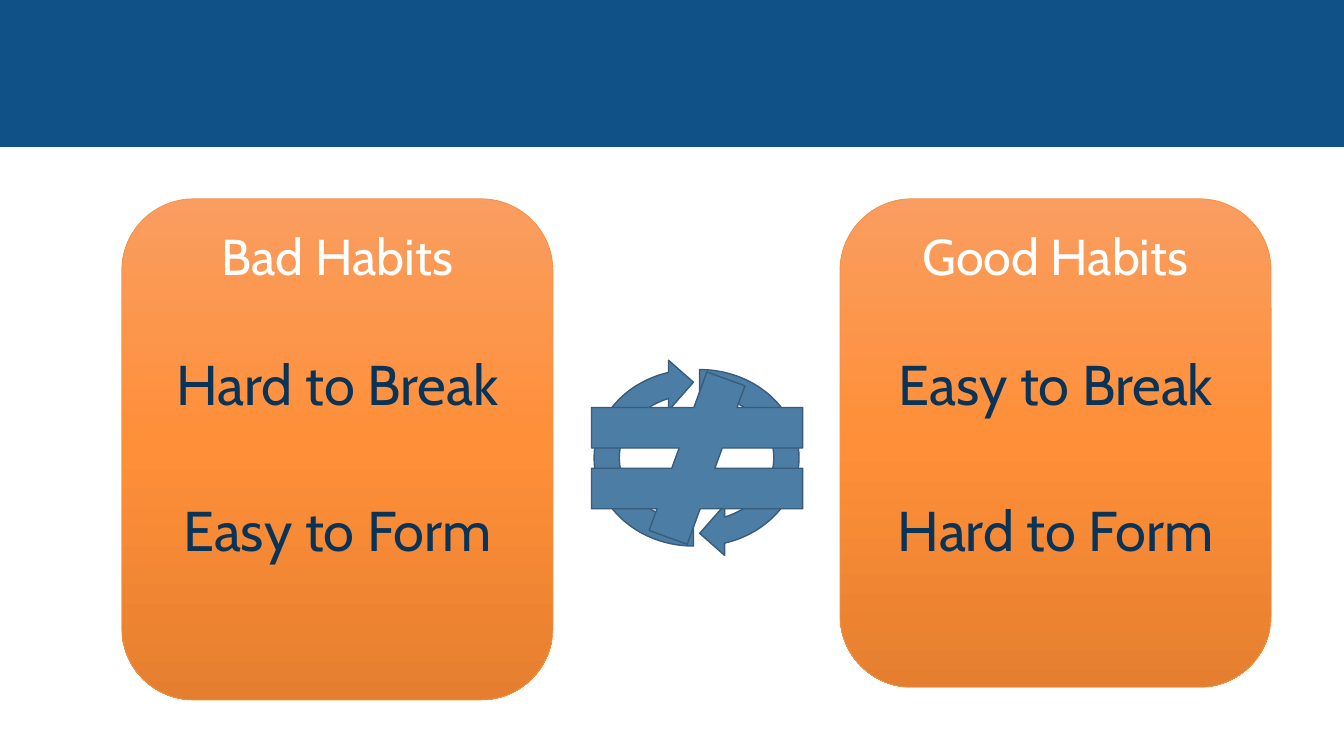
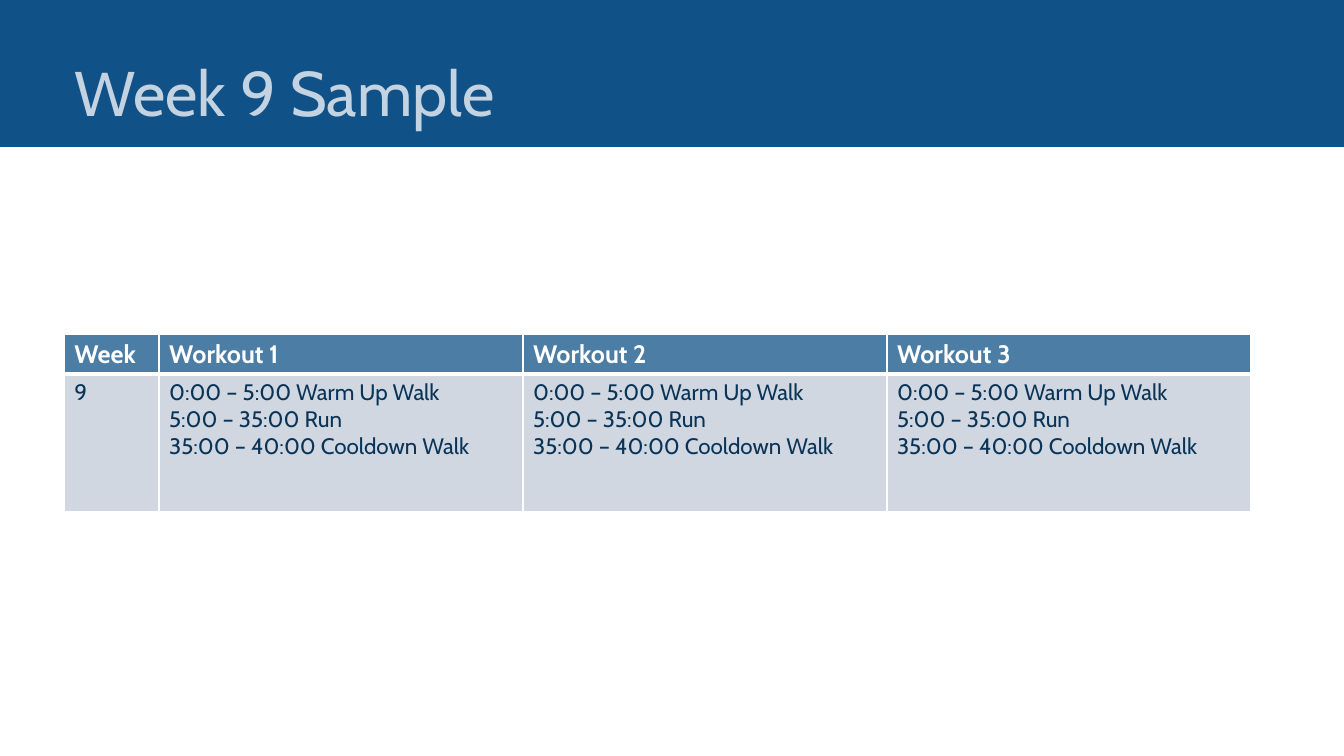
import copy

import pptx
import pptx.util
import pptx.dml.color
import pptx.enum.shapes
import pptx.enum.text
import pptx.oxml
import pptx.oxml.ns

Pt = pptx.util.Pt
Kind = pptx.enum.shapes.MSO_SHAPE
Align = pptx.enum.text.PP_ALIGN
Anchor = pptx.enum.text.MSO_ANCHOR

WIDE, HIGH = 960, 540
BAND = 105
FONT = "Cabin"
WHITE, NAVY, STEEL, EDGE = "FFFFFF", "093458", "4C7DA5", "385C7A"
BLUE, PALE, MIST, RIM = "105187", "C3D3E1", "D0D7E1", "F69041"
GLOW = [(0, "F99D60"), (0.5, "FF8F38"), (1, "E57F2F")]

HEAD = {"size": Pt(36), "color": WHITE}
FACT = {"size": Pt(40), "color": NAVY}
TITLE = {"size": Pt(45), "color": PALE}
LABEL = {"size": Pt(18), "color": WHITE, "bold": True}
ENTRY = {"size": Pt(16), "color": NAVY, "bold": False}
MIDDLE = {"alignment": Align.CENTER}
TIGHT = {"line_spacing": 0.9, "space_before": Pt(13.5)}

CARDS = [
    ("Good Habits", 600, 349, ["Easy to Break", "Hard to Form"]),
    ("Bad Habits", 87, 358, ["Hard to Break", "Easy to Form"]),
]
CARD_TOP, CARD_WIDE = 142, 308
FACT_TOP, FACT_STEP, FACT_HIGH = 246, 104.5, 55.5
SIGNS = [
    (Kind.CIRCULAR_ARROW, (427.7, 247, 144, 160), 90),
    (Kind.CIRCULAR_ARROW, (423.4, 247, 144, 160), 270),
    (Kind.MATH_NOT_EQUAL, (395.3, 265.7, 205.2, 123.1), 0),
]

STEPS = ["0:00 – 5:00 Warm Up Walk", "5:00 – 35:00 Run", "35:00 – 40:00 Cooldown Walk"]
ROWS = [
    [["Week"], ["Workout 1"], ["Workout 2"], ["Workout 3"]],
    [["9"], STEPS, STEPS, STEPS],
]
LOOKS = [(LABEL, STEEL), (ENTRY, MIST)]
COLS = [67.6, 260, 260, 260]
TALL = [28.8, 98]


def rgb(code):
    return pptx.dml.color.RGBColor.from_string(code)


def apply(item, values):
    for name, value in values.items():
        if name == "color":
            item.color.rgb = rgb(value)
        else:
            setattr(item, name, value)


def write(frame, lines, font, para=None):
    for i, line in enumerate(lines):
        part = frame.add_paragraph() if i else frame.paragraphs[0]
        apply(part, para or {})
        run = part.add_run()
        run.text = line
        apply(run.font, {"name": FONT, **font})


def draw(slide, kind, box, fill, line=None, width=1):
    shape = slide.shapes.add_shape(kind, *map(Pt, box))
    shape.shadow.inherit = False
    if isinstance(fill, str):
        shape.fill.solid()
        shape.fill.fore_color.rgb = rgb(fill)
    else:
        blend(shape, fill)
    if line:
        apply(shape.line, {"color": line, "width": Pt(width)})
    else:
        shape.line.fill.background()
    return shape


def blend(shape, stops):
    shape.fill.gradient()
    shape.fill.gradient_angle = 270
    group = next(shape._element.spPr.iter(pptx.oxml.ns.qn("a:gsLst")))
    group.insert(1, copy.deepcopy(group[0]))
    for stop, (place, code) in zip(shape.fill.gradient_stops, stops):
        apply(stop, {"color": code, "position": place})


def label(slide, box, text, font, anchor, para):
    frame = slide.shapes.add_textbox(*map(Pt, box)).text_frame
    apply(frame, {"word_wrap": True, "vertical_anchor": anchor})
    write(frame, [text], font, para)


def page(deck, title=None):
    slide = deck.slides.add_slide(deck.slide_layouts[6])
    draw(slide, Kind.RECTANGLE, (0, 0, WIDE, BAND), BLUE)
    if title:
        label(slide, (46, 6.5, 757.5, 90), title, TITLE, Anchor.BOTTOM, TIGHT)
    return slide


def border(cell, side, width):
    cell._tc.get_or_add_tcPr().append(pptx.oxml.parse_xml(
        f'<a:ln{side} {pptx.oxml.ns.nsdecls("a")} w="{Pt(width)}"><a:solidFill>'
        f'<a:srgbClr val="{WHITE}"/></a:solidFill></a:ln{side}>'))


def habits(deck):
    slide = page(deck)
    for kind, box, turn in SIGNS:
        draw(slide, kind, box, STEEL, EDGE).rotation = turn
    for head, left, high, facts in CARDS:
        box = (left, CARD_TOP, CARD_WIDE, high)
        card = draw(slide, Kind.ROUNDED_RECTANGLE, box, GLOW, RIM, 0.5)
        card.text_frame.vertical_anchor = Anchor.TOP
        write(card.text_frame, [head], HEAD, MIDDLE)
        for i, fact in enumerate(facts):
            spot = (left, FACT_TOP + i * FACT_STEP, CARD_WIDE, FACT_HIGH)
            label(slide, spot, fact, FACT, Anchor.MIDDLE, MIDDLE)


def sample(deck):
    slide = page(deck, "Week 9 Sample")
    box = (46, 238.5, sum(COLS), sum(TALL))
    table = slide.shapes.add_table(len(ROWS), len(COLS), *map(Pt, box)).table
    for col, wide in zip(table.columns, COLS):
        col.width = Pt(wide)
    for r, (row, (font, fill)) in enumerate(zip(ROWS, LOOKS)):
        table.rows[r].height = Pt(TALL[r])
        for c, lines in enumerate(row):
            cell = table.cell(r, c)
            write(cell.text_frame, lines, font)
            for side in "LRTB":
                border(cell, side, 3 if (r, side) in [(0, "B"), (1, "T")] else 1)
            cell.fill.solid()
            cell.fill.fore_color.rgb = rgb(fill)


def main():
    deck = pptx.Presentation()
    apply(deck, {"slide_width": Pt(WIDE), "slide_height": Pt(HIGH)})
    habits(deck)
    sample(deck)
    deck.save("out.pptx")


if __name__ == "__main__":
    main()
